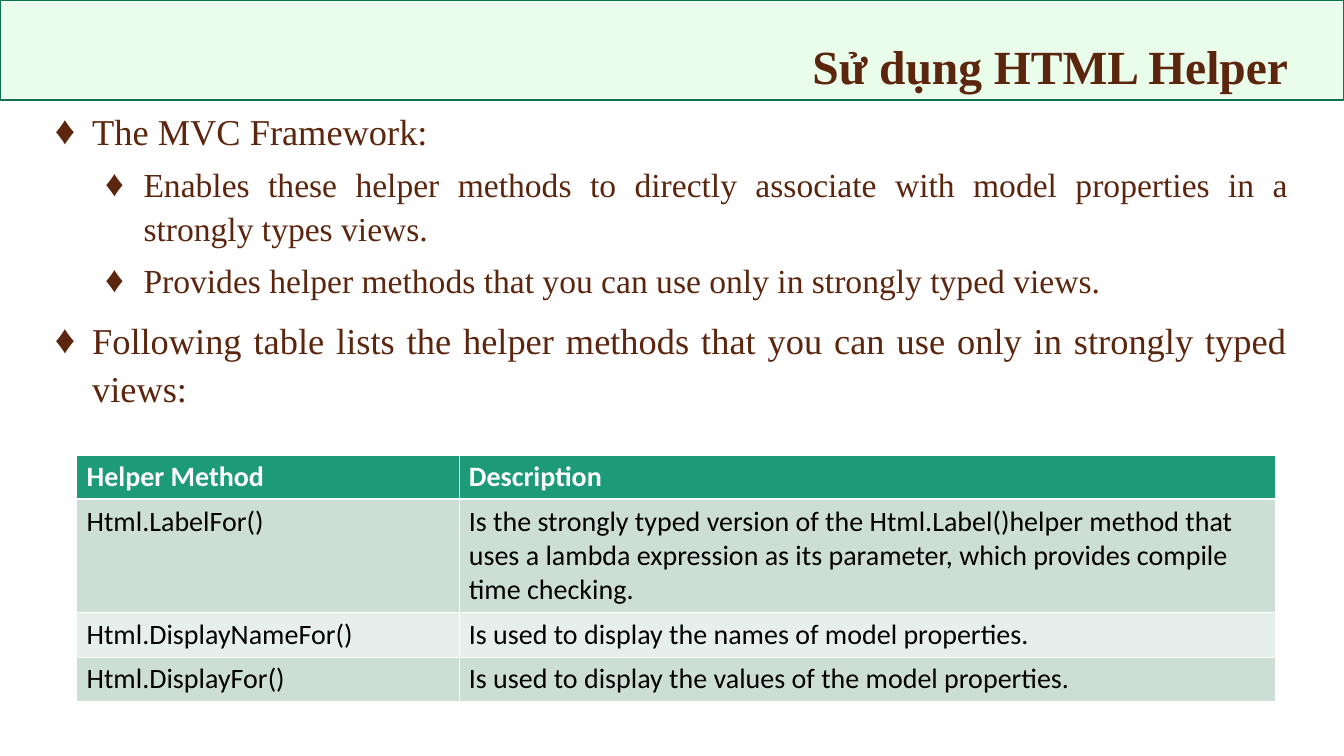
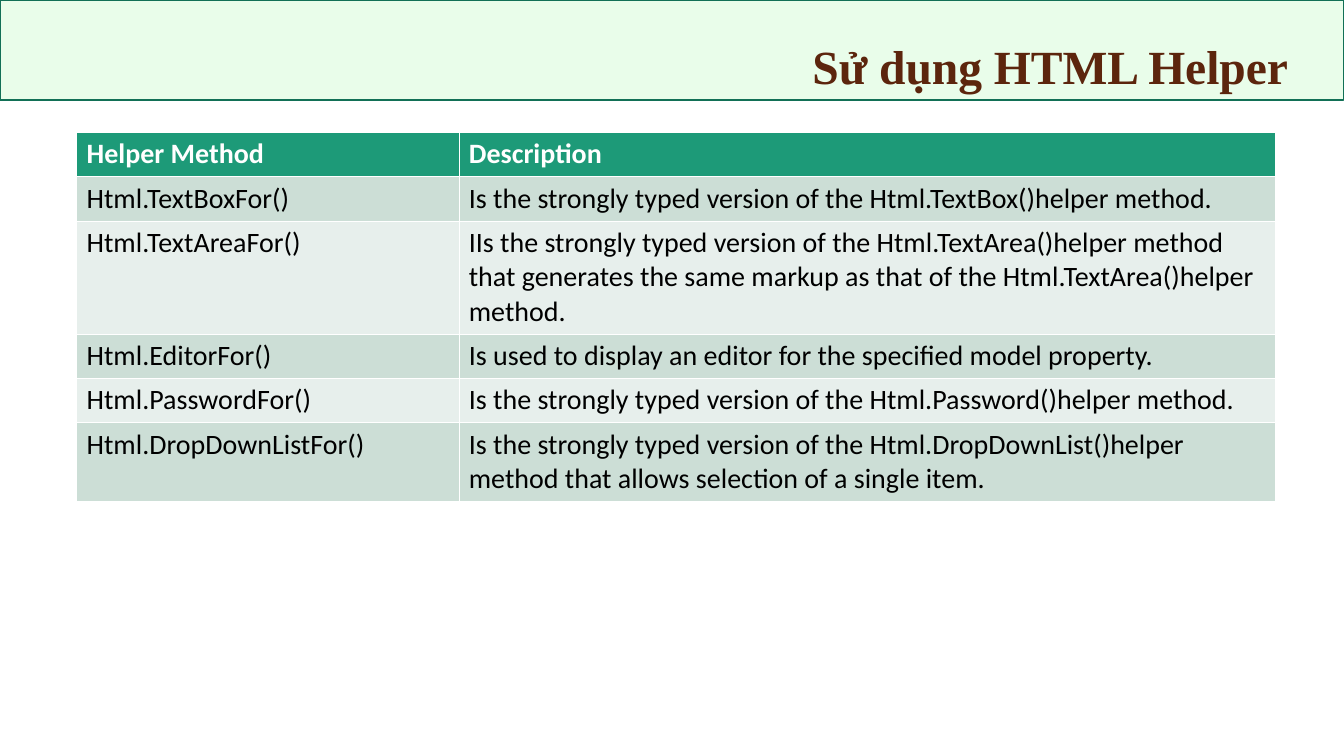
from dataclasses import dataclass
from typing import Any

from lxml import etree
from pptx import Presentation
from pptx import slide as s
from pptx import table as t
from pptx import util as u
from pptx.dml import color as c
from pptx.enum import shapes as sh
from pptx.enum import text as tx
from pptx.oxml import ns

COLORS = {
    "brown": "5C250D",
    "band": "E9FDEA",
    "band_line": "127056",
    "header": "1D9A78",
    "odd_row": "CCDED6",
    "even_row": "E7EFEC",
    "white": "FFFFFF",
    "black": "000000",
}
TITLE = "Sử dụng HTML Helper"
SLIDE_WIDTH, SLIDE_HEIGHT = 960.48, 540
BAND_WIDTH, BAND_HEIGHT = 960, 71.5
TEXT_LEFT, TEXT_WIDTH = 32, 896
TITLE_HEIGHT, BODY_HEIGHT = 71.28, 414.72
TABLE_LEFT = 54.72
COLUMN_WIDTHS = (273.2, 583.2)
ROW_HEIGHT, EXTRA_LINE = 30.96, 24.2
THIN, THICK = 0.45, 1.47

TITLE_FONT = {"name": "Times New Roman", "size": u.Pt(34), "bold": True}
TITLE_PARAGRAPH = {"alignment": tx.PP_ALIGN.RIGHT, "line_spacing": 0.9}


@dataclass(frozen=True)
class BulletStyle:
    size: float
    space_before: float
    margin: float
    hanging: float


@dataclass(frozen=True)
class Bullet:
    text: str
    level: int = 0


@dataclass(frozen=True)
class Method:
    name: str
    description: str
    lines: int = 1


BULLET_STYLES = (
    BulletStyle(26, 10, 26.64, 26.64),
    BulletStyle(24, 5, 63.36, 27.36),
)
BULLETS = (
    Bullet("The MVC Framework:"),
    Bullet("Enables these helper methods to directly associate with model "
           "properties in a strongly types views.", 1),
    Bullet("Provides helper methods that you can use only in strongly typed views.", 1),
    Bullet("Following table lists the helper methods that you can use only in "
           "strongly typed views:"),
)
HEADER = Method("Helper Method", "Description")
DISPLAY_METHODS = (
    Method("Html.LabelFor()",
           "Is the strongly typed version of the Html.Label()helper method that uses "
           "a lambda expression as its parameter, which provides compile time checking.", 3),
    Method("Html.DisplayNameFor()", "Is used to display the names of model properties."),
    Method("Html.DisplayFor()", "Is used to display the values of the model properties."),
)
INPUT_METHODS = (
    Method("Html.TextBoxFor()",
           "Is the strongly typed version of the Html.TextBox()helper method."),
    Method("Html.TextAreaFor()",
           "IIs the strongly typed version of the Html.TextArea()helper method that "
           "generates the same markup as that of the Html.TextArea()helper method.", 3),
    Method("Html.EditorFor()",
           "Is used to display an editor for the specified model property."),
    Method("Html.PasswordFor()",
           "Is the strongly typed version of the Html.Password()helper method."),
    Method("Html.DropDownListFor()",
           "Is the strongly typed version of the Html.DropDownList()helper method "
           "that allows selection of a single item.", 2),
)


def rgb(name: str) -> c.RGBColor:
    return c.RGBColor.from_string(COLORS[name])


def apply(target: Any, values: dict[str, Any]) -> None:
    for name, value in values.items():
        setattr(target, name, value)


def place(shape: Any, left: float, top: float, width: float, height: float) -> None:
    apply(shape, {"left": u.Pt(left), "top": u.Pt(top),
                  "width": u.Pt(width), "height": u.Pt(height)})


def style_font(font: Any, values: dict[str, Any], color: str) -> None:
    apply(font, values)
    font.color.rgb = rgb(color)


def add_element(parent: Any, tag: str, **attributes: str) -> Any:
    return etree.SubElement(parent, ns.qn(tag), attributes)


def add_band(slide: s.Slide) -> None:
    band = slide.shapes.add_shape(sh.MSO_SHAPE.RECTANGLE, 0, 0,
                                  u.Pt(BAND_WIDTH), u.Pt(BAND_HEIGHT))
    band.shadow.inherit = False
    band.fill.solid()
    band.fill.fore_color.rgb = rgb("band")
    band.line.color.rgb = rgb("band_line")
    band.line.width = u.Pt(1)
    slide.shapes.element.insert(2, band.element)


def add_slide(presentation: Any, layout_name: str) -> s.Slide:
    layout = presentation.slide_layouts.get_by_name(layout_name)
    slide = presentation.slides.add_slide(layout)
    add_band(slide)
    title = slide.shapes.title
    place(title, TEXT_LEFT, 0, TEXT_WIDTH, TITLE_HEIGHT)
    title.text_frame.text = TITLE
    apply(title.text_frame, {"vertical_anchor": tx.MSO_ANCHOR.BOTTOM,
                             "auto_size": tx.MSO_AUTO_SIZE.NONE})
    paragraph = title.text_frame.paragraphs[0]
    apply(paragraph, TITLE_PARAGRAPH)
    style_font(paragraph.runs[0].font, TITLE_FONT, "brown")
    return slide


def add_bullets(slide: s.Slide, bullets: tuple[Bullet, ...]) -> None:
    body = slide.placeholders[1]
    place(body, TEXT_LEFT, TITLE_HEIGHT, TEXT_WIDTH, BODY_HEIGHT)
    frame = body.text_frame
    frame.text = "\n".join(bullet.text for bullet in bullets)
    frame.auto_size = tx.MSO_AUTO_SIZE.NONE
    for paragraph, bullet in zip(frame.paragraphs, bullets):
        style = BULLET_STYLES[bullet.level]
        apply(paragraph, {"level": bullet.level, "alignment": tx.PP_ALIGN.JUSTIFY,
                          "line_spacing": 1.1, "space_before": u.Pt(style.space_before)})
        style_font(paragraph.runs[0].font,
                   {"name": "Times New Roman", "size": u.Pt(style.size)}, "brown")
        properties = paragraph._p.get_or_add_pPr()
        properties.set("marL", str(u.Pt(style.margin)))
        properties.set("indent", str(-u.Pt(style.hanging)))
        add_element(add_element(properties, "a:buClr"), "a:srgbClr", val=COLORS["brown"])
        add_element(properties, "a:buSzPct", val="110000")
        add_element(properties, "a:buChar", char="♦")


def set_borders(cell: t._Cell, top: float, bottom: float) -> None:
    properties = cell._tc.get_or_add_tcPr()
    widths = {"a:lnL": THIN, "a:lnR": THIN, "a:lnT": top, "a:lnB": bottom}
    for index, (tag, width) in enumerate(widths.items()):
        line = add_element(properties, tag, w=str(u.Pt(width)))
        add_element(add_element(line, "a:solidFill"), "a:srgbClr", val=COLORS["white"])
        properties.insert(index, line)


def add_method_table(slide: s.Slide, top: float, methods: tuple[Method, ...]) -> None:
    rows = (HEADER, *methods)
    heights = [ROW_HEIGHT + EXTRA_LINE * (row.lines - 1) for row in rows]
    frame = slide.shapes.add_table(len(rows), len(COLUMN_WIDTHS), u.Pt(TABLE_LEFT), u.Pt(top),
                                   u.Pt(sum(COLUMN_WIDTHS)), u.Pt(sum(heights)))
    table = frame.table
    for column, width in zip(table.columns, COLUMN_WIDTHS):
        column.width = u.Pt(width)
    for index, (row, height) in enumerate(zip(rows, heights)):
        table.rows[index].height = u.Pt(height)
        is_header = index == 0
        fill = "header" if is_header else "odd_row" if index % 2 else "even_row"
        for cell, content in zip(table.rows[index].cells, (row.name, row.description)):
            cell.text = content
            cell.fill.solid()
            cell.fill.fore_color.rgb = rgb(fill)
            style_font(cell.text_frame.paragraphs[0].runs[0].font,
                       {"name": "Calibri", "size": u.Pt(20), "bold": is_header},
                       "white" if is_header else "black")
            set_borders(cell, THICK if index == 1 else THIN, THICK if is_header else THIN)


def main() -> None:
    presentation = Presentation()
    apply(presentation, {"slide_width": u.Pt(SLIDE_WIDTH), "slide_height": u.Pt(SLIDE_HEIGHT)})

    overview = add_slide(presentation, "Title and Content")
    add_bullets(overview, BULLETS)
    add_method_table(overview, 325, DISPLAY_METHODS)

    inputs = add_slide(presentation, "Title Only")
    add_method_table(inputs, 94.32, INPUT_METHODS)

    presentation.save("out.pptx")


if __name__ == "__main__":
    main()
